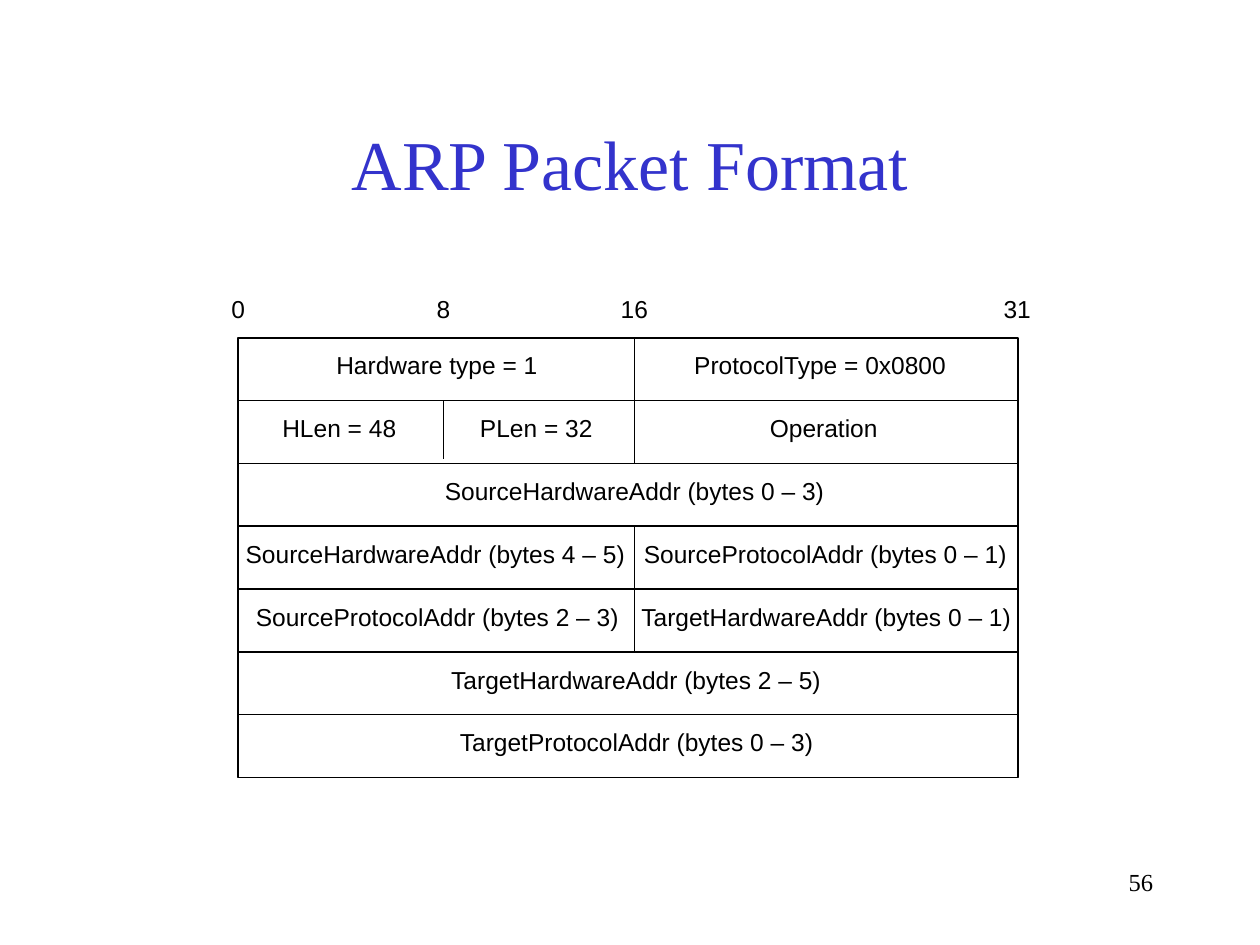
from dataclasses import dataclass

from pptx import Presentation
from pptx.dml.color import RGBColor
from pptx.enum.shapes import MSO_CONNECTOR as Connector, MSO_SHAPE as Shape
from pptx.enum.text import MSO_ANCHOR as Anchor, PP_ALIGN as Align
from pptx.oxml.ns import qn
from pptx.slide import Slide
from pptx.util import Pt

COLORS = {"title": "3333CC", "ink": "000000"}
SANS, SERIF = "Arial", "Times New Roman"
LINE_WIDTH = 0.88
LEFT, RIGHT, MIDDLE, QUARTER = 136.1, 581.8, 362.5, 253.4
TOP, ROW_HEIGHT, ROWS = 193, 35.9, 7
TEXT_OFFSET, TEXT_HEIGHT = 7.3, 16.6
BIT_TOP = 167.8


@dataclass
class Label:
    text: str
    left: float
    top: float
    width: float
    height: float = TEXT_HEIGHT
    font: str = SANS
    size: float = 14
    color: str = "ink"
    align: Align = Align.LEFT
    anchor: Anchor = Anchor.TOP
    margin: float = 0
    wrap: bool = False


@dataclass
class Field:
    row: int
    left: float
    width: float
    text: str


@dataclass
class Rule:
    x1: float
    y1: float
    x2: float
    y2: float


FIELDS = [
    Field(0, 192.2, 115.2, "Hardware type = 1"),
    Field(0, 396.7, 146.2, "ProtocolType = 0x0800"),
    Field(1, 161.3, 65.5, "HLen = 48"),
    Field(1, 274.3, 64.8, "PLen = 32"),
    Field(1, 439.9, 61.9, "Operation"),
    Field(2, 254.2, 221, "SourceHardwareAddr (bytes 0 – 3)"),
    Field(3, 140.4, 221, "SourceHardwareAddr (bytes 4 – 5)"),
    Field(3, 367.9, 211.7, "SourceProtocolAddr (bytes 0 – 1)"),
    Field(4, 146.2, 211, "SourceProtocolAddr (bytes 2 – 3)"),
    Field(4, 366.5, 215.3, "TargetHardwareAddr (bytes 0 – 1)"),
    Field(5, 257.8, 214.6, "TargetHardwareAddr (bytes 2 – 5)"),
    Field(6, 262.8, 205.2, "TargetProtocolAddr (bytes 0 – 3)"),
]
BITS = [("0", LEFT), ("8", QUARTER), ("16", MIDDLE), ("31", RIGHT - 0.5)]


def row_top(row: int) -> float:
    return TOP + row * ROW_HEIGHT


def add_label(page: Slide, label: Label) -> None:
    box = page.shapes.add_textbox(
        Pt(label.left), Pt(label.top), Pt(label.width), Pt(label.height)
    )
    frame = box.text_frame
    frame_format = {"word_wrap": label.wrap, "vertical_anchor": label.anchor}
    frame_format |= {
        "margin_left": Pt(label.margin),
        "margin_right": Pt(label.margin),
        "margin_top": Pt(label.margin / 2),
        "margin_bottom": Pt(label.margin / 2),
    }
    for name, value in frame_format.items():
        setattr(frame, name, value)
    para = frame.paragraphs[0]
    para.alignment = label.align
    span = para.add_run()
    span.text = label.text
    for name, value in {"name": label.font, "size": Pt(label.size)}.items():
        setattr(span.font, name, value)
    span.font.color.rgb = RGBColor.from_string(COLORS[label.color])


def add_rule(page: Slide, rule: Rule) -> None:
    line = page.shapes.add_connector(
        Connector.STRAIGHT, Pt(rule.x1), Pt(rule.y1), Pt(rule.x2), Pt(rule.y2)
    )
    line.line.color.rgb = RGBColor.from_string(COLORS["ink"])
    line.line.width = Pt(LINE_WIDTH)
    properties = line._element.spPr
    properties.append(properties.makeelement(qn("a:effectLst"), {}))


def add_frame(page: Slide) -> None:
    frame = page.shapes.add_shape(
        Shape.RECTANGLE, Pt(LEFT), Pt(TOP), Pt(RIGHT - LEFT), Pt(ROWS * ROW_HEIGHT)
    )
    frame.shadow.inherit = False
    frame.fill.background()
    frame.line.color.rgb = RGBColor.from_string(COLORS["ink"])
    frame.line.width = Pt(LINE_WIDTH)


def main() -> None:
    deck = Presentation()
    deck.slide_width, deck.slide_height = Pt(720), Pt(540)
    page = deck.slides.add_slide(deck.slide_layouts[6])

    add_label(page, Label("56", 516.2, 491.8, 149.8, 36, SERIF,
                          align=Align.RIGHT, margin=7.2, wrap=True))
    add_label(page, Label("ARP Packet Format", 54, 48, 612, 90, SERIF, 40, "title",
                          Align.CENTER, Anchor.MIDDLE, 7.2, True))
    for field in FIELDS:
        top = row_top(field.row) + TEXT_OFFSET
        add_label(page, Label(field.text, field.left, top, field.width))

    add_frame(page)
    for first, last in [(0, 2), (3, 5)]:
        add_rule(page, Rule(MIDDLE, row_top(first), MIDDLE, row_top(last)))
    for row in range(1, ROWS):
        add_rule(page, Rule(LEFT, row_top(row), RIGHT, row_top(row)))
    add_rule(page, Rule(QUARTER, row_top(1), QUARTER, row_top(2) - 2.5))

    for text, center in BITS:
        width = 7.8 * len(text)
        add_label(page, Label(text, center - width / 2, BIT_TOP, width,
                              align=Align.CENTER))

    deck.save("out.pptx")


if __name__ == "__main__":
    main()
